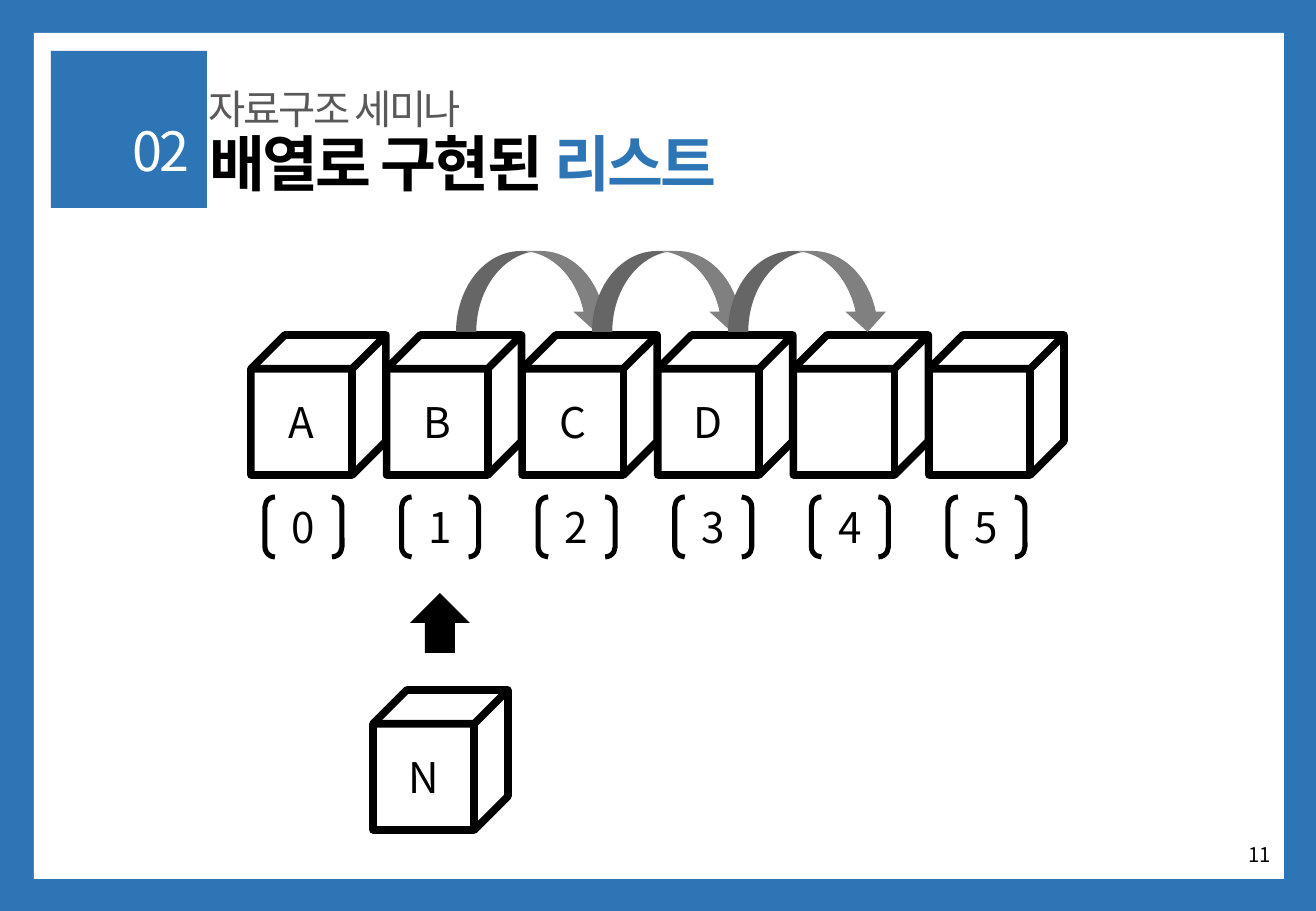
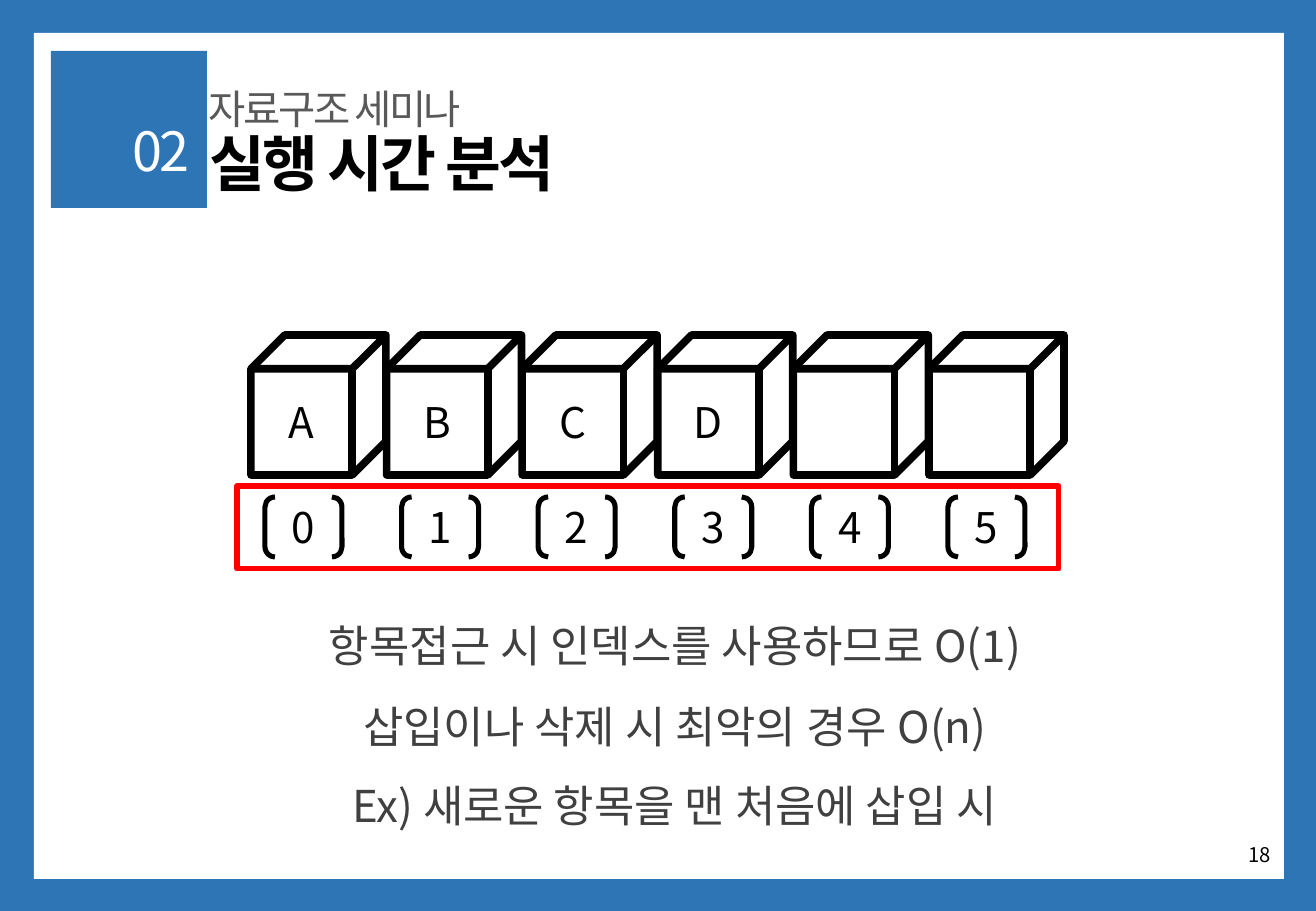
from lxml.etree import SubElement
from pptx import Presentation
from pptx.dml.color import RGBColor
from pptx.enum.shapes import MSO_SHAPE as KIND
from pptx.enum.text import MSO_ANCHOR, MSO_AUTO_SIZE, PP_ALIGN
from pptx.oxml.ns import qn
from pptx.util import Pt

BLUE = RGBColor(0x2E, 0x75, 0xB6)
WHITE = RGBColor(0xFF, 0xFF, 0xFF)
BLACK = RGBColor(0, 0, 0)
RED = RGBColor(0xFF, 0, 0)
GRAY = RGBColor(0x80, 0x80, 0x80)
MUTED = RGBColor(0x59, 0x59, 0x59)
DARK = RGBColor(0x40, 0x40, 0x40)
FONT = "Noto Sans CJK KR"
PIXEL = 914400 / 121.5
LEFT, MID, RIGHT = PP_ALIGN.LEFT, PP_ALIGN.CENTER, PP_ALIGN.RIGHT

SIZE = (1316, 911)
FRAME = [((0, 0, *SIZE), BLUE), ((34, 33, 1250, 846), WHITE), ((51, 51, 156, 157), BLUE)]
SEMINAR = "자료구조 세미나"
CHAPTER = "02"
INSERT = {"title": [("배열로 구현된 ", BLACK), ("리스트", BLUE)], "page": "11"}
TIMING = {"title": [("실행 시간 분석", BLACK)], "page": "18"}
ITEMS = ["A", "B", "C", "D", "", ""]
NEW = "N"
ACCESS = ["항목접근 시 인덱스를 사용하므로 O(1)"]
WORST = ["삽입이나 삭제 시 최악의 경우 O(n)", "Ex) 새로운 항목을 맨 처음에 삽입 시"]

CUBE = (135, 140)
CUBES = (251, 335, 135.6)
INDEX = (265, 497, 136.6)
SHIFTS = (456, 251, 136)
HEAD = {"gap": 0.9, "before": 10, "spacing": -150}
NOTE = {"size": 26, "color": DARK, "align": MID, "gap": 1.5, "anchor": MSO_ANCHOR.TOP}


def emu(*lengths):
    return [round(length * PIXEL) for length in lengths]


def write(shape, lines, size=25, color=BLACK, align=LEFT, bold=False,
          gap=None, before=None, spacing=None, anchor=MSO_ANCHOR.MIDDLE):
    frame = shape.text_frame
    frame.word_wrap = True
    frame.auto_size = MSO_AUTO_SIZE.NONE
    frame.vertical_anchor = anchor
    for i, line in enumerate(lines):
        para = frame.add_paragraph() if i else frame.paragraphs[0]
        para.alignment = align
        para.line_spacing = gap
        if before:
            para.space_before = Pt(before)
        for text, tint in [(line, color)] if isinstance(line, str) else line:
            run = para.add_run()
            run.text = text
            font = run.font
            font.size, font.bold, font.name = Pt(size), bold, FONT
            font.color.rgb = tint
            props = run._r.get_or_add_rPr()
            SubElement(props, qn("a:ea")).set("typeface", FONT)
            if spacing:
                props.set("spc", str(spacing))


def label(shapes, box, lines, **style):
    write(shapes.add_textbox(*emu(*box)), lines, **style)


def draw(shapes, kind, box, fill=None, line=None, width=0, text=""):
    shape = shapes.add_shape(kind, *emu(*box))
    shape.shadow.inherit = False
    if fill is None:
        shape.fill.background()
    else:
        shape.fill.solid()
        shape.fill.fore_color.rgb = fill
    if line is None:
        shape.line.fill.background()
    else:
        shape.line.color.rgb = line
        shape.line.width = Pt(width)
    if text:
        write(shape, [text], align=MID)
    return shape


def cube(shapes, x, y, text):
    draw(shapes, KIND.CUBE, (x, y, *CUBE), line=BLACK, width=4.5, text=text)


def array(slide):
    shapes = slide.shapes.add_group_shape().shapes
    left, top, step = CUBES
    for i, item in enumerate(ITEMS):
        cube(shapes, left + i * step, top, item)
    left, top, step = INDEX
    for i in range(len(ITEMS)):
        draw(shapes, KIND.DOUBLE_BRACKET, (left + i * step, top, 77, 60),
             line=BLACK, width=3, text=str(i))


def start(deck, layout, content):
    slide = deck.slides.add_slide(layout)
    title = slide.shapes.title
    title.left, title.top, title.width, title.height = emu(197, 130, 775, 73)
    write(title, [content["title"]], size=36, bold=True, **HEAD)
    label(slide.shapes, (197, 92, 598, 38), [SEMINAR], size=24, color=MUTED, **HEAD)
    label(slide.shapes, (72, 123, 130, 62), [CHAPTER], size=32, color=WHITE, align=RIGHT, **HEAD)
    label(slide.shapes, (987, 830, 296, 48), [content["page"]], size=12, align=RIGHT)
    array(slide)
    return slide


def border(slide, layout):
    for i, (box, fill) in enumerate(FRAME):
        panel = draw(slide.shapes, KIND.RECTANGLE, box, fill=fill)
        layout.shapes.element.insert(2 + i, panel._element)


deck = Presentation()
deck.slide_width, deck.slide_height = emu(*SIZE)
layout = deck.slide_layouts[5]

slide = start(deck, layout, INSERT)
border(slide, layout)
entry = slide.shapes.add_group_shape().shapes
cube(entry, 373, 690, NEW)
draw(entry, KIND.UP_ARROW, (410, 593, 60, 60), fill=BLACK)
left, top, step = SHIFTS
for i in range(3):
    draw(slide.shapes, KIND.CURVED_DOWN_ARROW, (left + i * step, top, 160, 81), fill=GRAY)

slide = start(deck, layout, TIMING)
access = slide.shapes.add_group_shape().shapes
label(access, (202, 586, 946, 83), ACCESS, **NOTE)
draw(access, KIND.RECTANGLE, (237, 486, 822, 83), line=RED, width=3)
label(slide.shapes, (202, 667, 946, 163), WORST, **NOTE)

deck.save("out.pptx")
